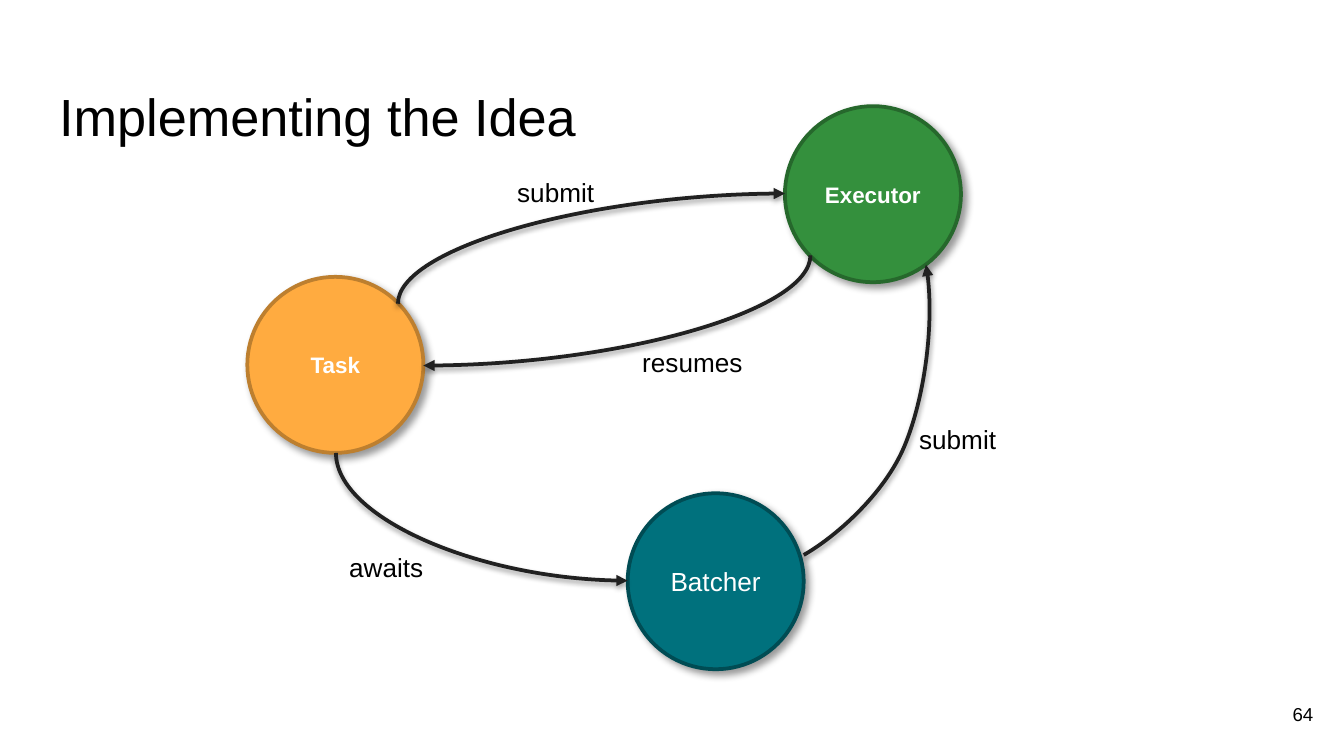
import pptx
import pptx.dml.color
import pptx.enum.shapes
import pptx.enum.text
import pptx.oxml
import pptx.oxml.ns
import pptx.util

Pt = pptx.util.Pt
RGB = pptx.dml.color.RGBColor
ALIGN = pptx.enum.text.PP_ALIGN
ANCHOR = pptx.enum.text.MSO_ANCHOR
qn = pptx.oxml.ns.qn
NS = pptx.oxml.ns.nsdecls("a")

BLACK = RGB(0x00, 0x00, 0x00)
WHITE = RGB(0xFF, 0xFF, 0xFF)
INK = RGB(0x21, 0x21, 0x21)
GREEN, MOSS = RGB(0x34, 0x90, 0x3D), RGB(0x26, 0x68, 0x2C)
AMBER, BROWN = RGB(0xFF, 0xAB, 0x40), RGB(0xBD, 0x7F, 0x2F)
TEAL, DEEP = RGB(0x00, 0x71, 0x7D), RGB(0x00, 0x4C, 0x54)

deck = pptx.Presentation()
deck.slide_width = pptx.util.Inches(10)
deck.slide_height = pptx.util.Inches(5.625)
slide = deck.slides.add_slide(deck.slide_layouts[5])
shapes = slide.shapes
unit = deck.slide_width / 100


def grid(*cells):
    return [round(cell * unit) for cell in cells]


def style(shape, text, size, color, align, anchor, bold=False):
    frame = shape.text_frame
    frame.word_wrap = True
    frame.auto_size = pptx.enum.text.MSO_AUTO_SIZE.NONE
    frame.vertical_anchor = anchor
    frame.text = text
    para = frame.paragraphs[0]
    para.alignment = align
    para.font.name = "Arial"
    para.font.size = Pt(size)
    para.font.bold = bold
    para.font.color.rgb = color


title = shapes.title
title.left, title.top, title.width, title.height = grid(3.4, 4.9, 93.2, 6.3)
style(title, "Implementing the Idea", 28, BLACK, ALIGN.LEFT, ANCHOR.TOP)
title.text_frame.margin_top = grid(1.4)[0]

size = 13.1
nodes = [
    ("Executor", 58.4, 7.9, GREEN, MOSS, 12, True),
    ("Task", 18.4, 20.6, AMBER, BROWN, 12, True),
    ("Batcher", 46.7, 36.7, TEAL, DEEP, 14, False),
]
discs = []
for name, left, top, fill, edge, points, bold in nodes:
    disc = shapes.add_shape(pptx.enum.shapes.MSO_SHAPE.OVAL, *grid(left, top, size, size))
    disc.fill.solid()
    disc.fill.fore_color.rgb = fill
    disc.line.color.rgb = edge
    style(disc, name, points, WHITE, ALIGN.CENTER, ANCHOR.MIDDLE, bold)
    discs.append(disc)

curves = [
    (29.6, 22.6, 58.4, 14.4),
    (60.3, 19.0, 31.5, 27.2),
    (25.0, 33.7, 46.7, 43.2),
]
links = []
for x, y, to_x, to_y in curves:
    mid_x, mid_y = (x + to_x) / 2, (y + to_y) / 2
    run, drop = (to_x - x) / 2, (to_y - y) / 2
    link = shapes.add_connector(
        pptx.enum.shapes.MSO_CONNECTOR.CURVE,
        *grid(mid_x - drop, mid_y + run, mid_x + drop, mid_y - run))
    props = link._element.spPr
    props.find(qn("a:xfrm")).set("rot", str(90 * 60000))
    props.find(qn("a:prstGeom")).set("prst", "curvedConnector2")
    links.append(link)

knots = [(62.1, 40), (65.8, 36.8), (67.3, 33.2), (68.8, 29.6), (69.6, 23.5), (68.9, 19.7)]
pen = shapes.build_freeform(*grid(59.8, 41.3))
pen.add_line_segments([grid(*knot) for knot in knots], close=False)
bend = pen.convert_to_shape()
bend.fill.background()
trace = bend._element.spPr.find(".//" + qn("a:path"))
steps = trace.findall(qn("a:lnTo"))
for first in range(0, len(steps), 3):
    cubic = pptx.oxml.parse_xml(f"<a:cubicBezTo {NS}/>")
    for step in steps[first:first + 3]:
        cubic.append(step[0])
        trace.remove(step)
    trace.append(cubic)
links.append(bend)

for link in links:
    link.line.color.rgb = INK
    link.line._get_or_add_ln().append(
        pptx.oxml.parse_xml(f'<a:tailEnd {NS} type="triangle"/>'))

shades = [(disc, 40, 4, 3, 45) for disc in discs]
shades += [(link, 38, 3.1, 1.6, 90) for link in links]
for shape, alpha, blur, dist, angle in shades:
    shape.line.width = Pt(2)
    shape._element.spPr.append(pptx.oxml.parse_xml(
        f'<a:effectLst {NS}><a:outerShdw blurRad="{Pt(blur)}" dist="{Pt(dist)}" '
        f'dir="{angle * 60000}" algn="ctr" rotWithShape="0"><a:srgbClr val="{BLACK}">'
        f'<a:alpha val="{alpha * 1000}"/></a:srgbClr></a:outerShdw></a:effectLst>'))

notes = [
    ("submit", 67.4, 31.0, 10.3),
    ("awaits", 25.0, 40.5, 9.0),
    ("resumes", 46.8, 25.3, 9.8),
    ("submit", 37.5, 12.6, 8.3),
]
for text, left, top, width in notes:
    label = shapes.add_textbox(*grid(left, top, width, 3.4))
    style(label, text, 14, BLACK, ALIGN.LEFT, ANCHOR.TOP)

number = shapes.add_textbox(*grid(92.7, 51, 6, 4.3))
style(number, "64", 10, BLACK, ALIGN.RIGHT, ANCHOR.MIDDLE)

deck.save("out.pptx")
